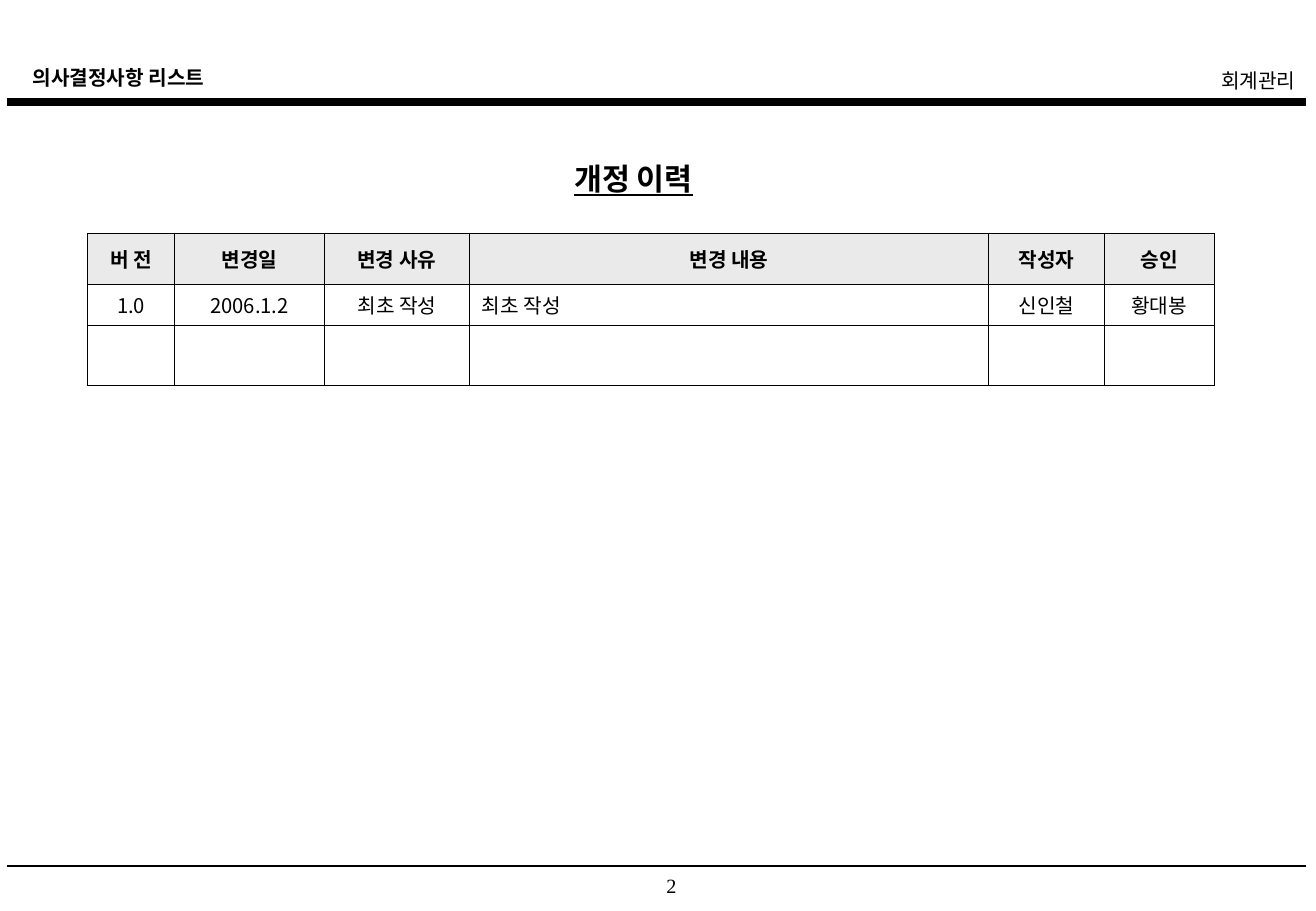
from dataclasses import dataclass

from lxml.etree import SubElement
from pptx import Presentation
from pptx.dml.color import RGBColor
from pptx.enum.shapes import MSO_CONNECTOR
from pptx.enum.text import MSO_ANCHOR, MSO_AUTO_SIZE, PP_ALIGN
from pptx.oxml.ns import qn
from pptx.util import Inches, Pt


@dataclass(frozen=True)
class Theme:
    """Colours, fonts and type sizes of the slide."""
    ink: str = "000000"
    paper: str = "FFFFFF"
    header_fill: str = "EAEAEA"
    korean: str = "Noto Sans CJK KR"
    numeral: str = "Times New Roman"
    title_size: int = 18
    text_size: int = 12


theme = Theme()


def write(frame, text, size=theme.text_size, font=theme.korean, bold=False,
          underline=False, align=PP_ALIGN.LEFT, anchor=MSO_ANCHOR.TOP):
    """Put one formatted line of text into a text frame."""
    frame.word_wrap = True
    frame.auto_size = MSO_AUTO_SIZE.NONE
    frame.vertical_anchor = anchor
    para = frame.paragraphs[0]
    para.alignment = align
    span = para.add_run()
    span.text = text
    span.font.size = Pt(size)
    span.font.name = font
    span.font.bold = bold
    span.font.underline = underline
    span.font.color.rgb = RGBColor.from_string(theme.ink)
    SubElement(span.font._element, qn("a:ea"), typeface=font)


def outline_cell(cell, width):
    """Draw all four borders of a table cell, width in points."""
    properties = cell._tc.get_or_add_tcPr()
    for side in ("lnL", "lnR", "lnT", "lnB"):
        border = SubElement(properties, qn(f"a:{side}"), w=str(Pt(width)))
        fill = SubElement(border, qn("a:solidFill"))
        SubElement(fill, qn("a:srgbClr"), val=theme.ink)


deck = Presentation()
deck.slide_width = Inches(10.84)
deck.slide_height = Inches(7.5)
page = deck.slides.add_slide(deck.slide_layouts[5])

# Rules under the header and above the footer
for top, weight in ((0.84, 4.5), (7.13, 1)):
    rule = page.shapes.add_connector(
        MSO_CONNECTOR.STRAIGHT, Inches(0.06), Inches(top), Inches(10.76), Inches(top))
    rule.line.color.rgb = RGBColor.from_string(theme.ink)
    rule.line.width = Pt(weight)
    SubElement(rule._element.spPr, qn("a:effectLst"))

# Header labels and page number
labels = [
    ("의사결정사항 리스트", (0.17, 0.49, 4.35, 0.3), {"bold": True}),
    ("회계관리", (6.08, 0.51, 4.69, 0.3), {"align": PP_ALIGN.RIGHT}),
    ("2", (5.14, 7.14, 0.78, 0.27), {"font": theme.numeral, "align": PP_ALIGN.CENTER}),
]
for text, place, style in labels:
    box = page.shapes.add_textbox(*map(Inches, place))
    write(box.text_frame, text, **style)

# Title
title = page.shapes.title
title.left, title.top = Inches(4.63), Inches(1.27)
title.width, title.height = Inches(1.53), Inches(0.4)
write(title.text_frame, "개정 이력", size=theme.title_size, bold=True, underline=True)

# Revision history
column_widths = [0.72, 1.23, 1.2, 4.27, 0.96, 0.9]
row_heights = [0.42, 0.34, 0.49]
history = [
    ["버 전", "변경일", "변경 사유", "변경 내용", "작성자", "승인"],
    ["1.0", "2006.1.2", "최초 작성", "최초 작성", "신인철", "황대봉"],
    [""] * len(column_widths),
]
content_column = 3

table = page.shapes.add_table(
    len(row_heights), len(column_widths), Inches(0.72), Inches(1.92),
    Inches(sum(column_widths)), Inches(sum(row_heights))).table
table.horz_banding = False
for column, width in zip(table.columns, column_widths):
    column.width = Inches(width)
for row, height in zip(table.rows, row_heights):
    row.height = Inches(height)

for row_index, texts in enumerate(history):
    is_header = row_index == 0
    for column_index, text in enumerate(texts):
        cell = table.cell(row_index, column_index)
        outline_cell(cell, 0.45)
        cell.fill.solid()
        cell.fill.fore_color.rgb = RGBColor.from_string(
            theme.header_fill if is_header else theme.paper)
        cell.vertical_anchor = MSO_ANCHOR.MIDDLE
        if text:
            is_left = column_index == content_column and not is_header
            write(cell.text_frame, text, bold=is_header, anchor=MSO_ANCHOR.MIDDLE,
                  align=PP_ALIGN.LEFT if is_left else PP_ALIGN.CENTER)

deck.save("out.pptx")
